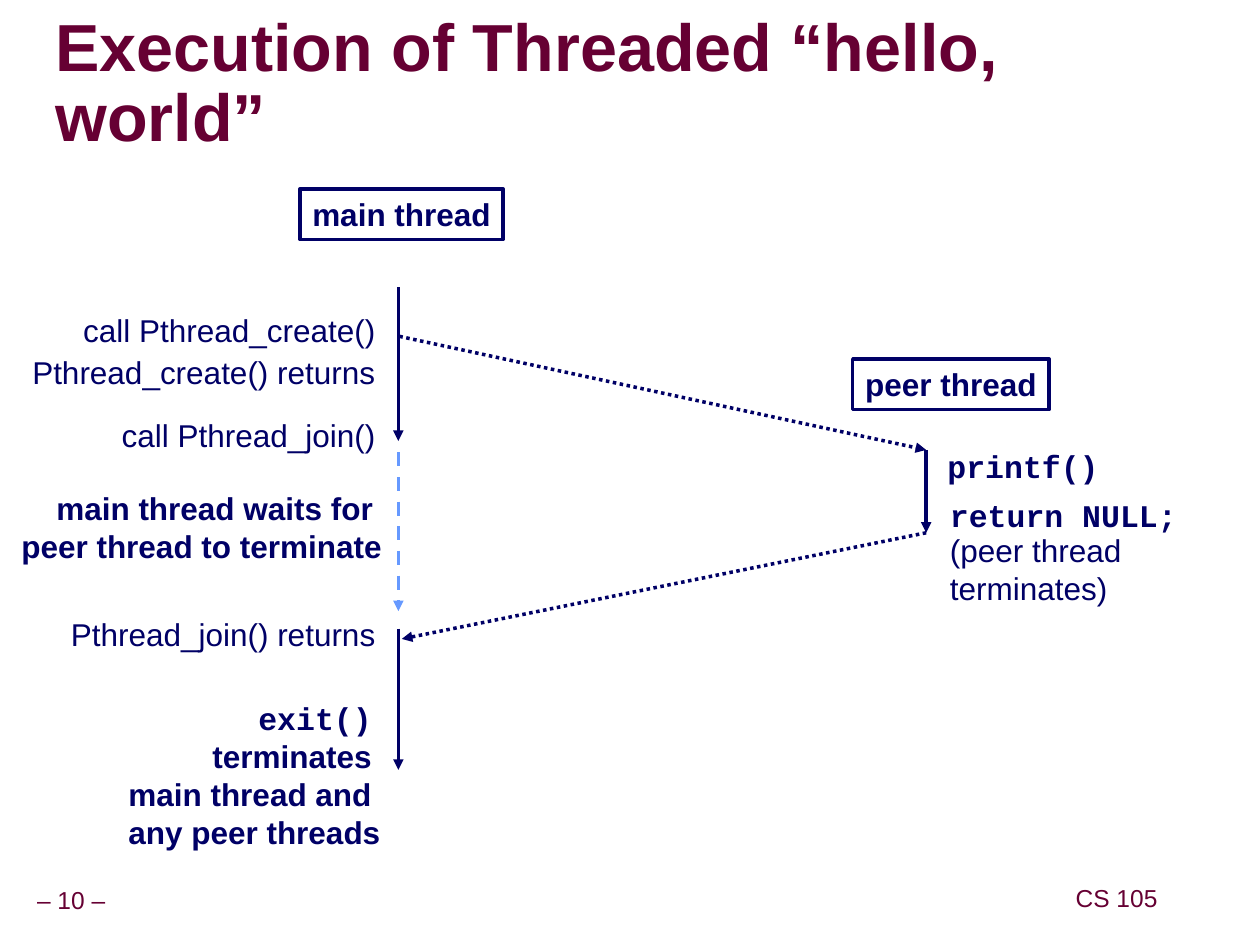
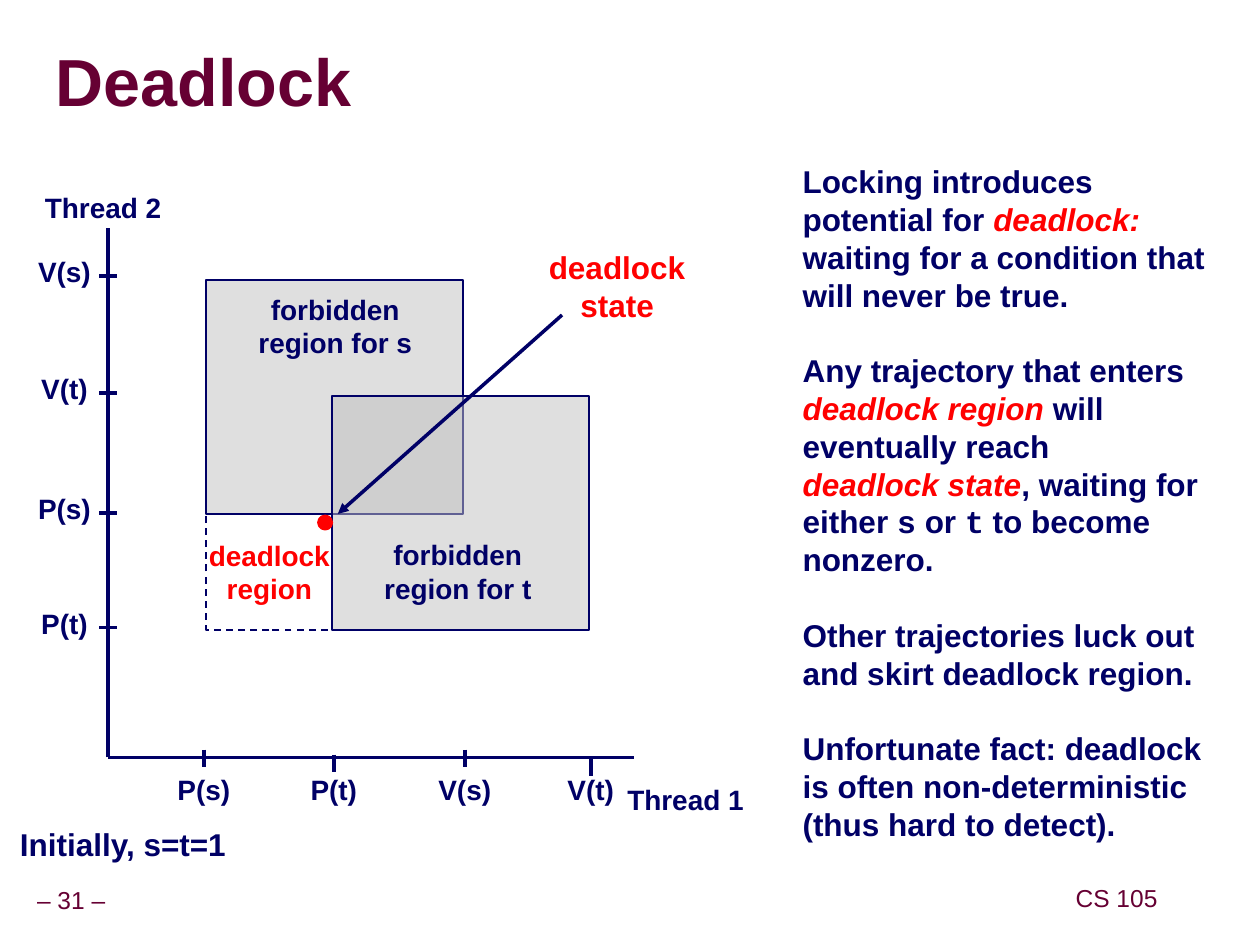
import pptx
import pptx.util
import pptx.dml.color
import pptx.enum.dml
import pptx.enum.shapes
import pptx.enum.text
import pptx.oxml
import pptx.oxml.ns

Cm, Pt = pptx.util.Cm, pptx.util.Pt
SHAPE = pptx.enum.shapes.MSO_SHAPE
DASH = pptx.enum.dml.MSO_LINE
ALIGN = {"l": pptx.enum.text.PP_ALIGN.LEFT,
         "c": pptx.enum.text.PP_ALIGN.CENTER,
         "r": pptx.enum.text.PP_ALIGN.RIGHT}
ANCHOR = {"t": pptx.enum.text.MSO_ANCHOR.TOP,
          "m": pptx.enum.text.MSO_ANCHOR.MIDDLE}

# Shared look
NAVY, WINE, RED, SKY = "000066", "660033", "FF0000", "6699FF"
GREY, WHITE = "C0C0C0", "FFFFFF"
SANS, MONO = "Arial", "Courier New"
COURSE = "CS 105"
ROW = 1.02  # height of a one-line label

# Thread diagram: content
HEADS = [("main thread", 6.05, 3.81, 4.09), ("peer thread", 17.19, 7.24, 3.96)]
MAIN_X, PEER_X = 8.03, 18.67
CALL_EDGE = 7.82
CALLS = [  # text, top, width
    ("call Pthread_create()", 6.15, 6.8),
    ("Pthread_create() returns", 6.99, 7.8),
    ("call Pthread_join()", 8.26, 6),
    ("Pthread_join() returns", 12.27, 7.4),
]
WAIT = "main thread waits for \npeer thread to terminate"
LEAVE = "exit()\nterminates \nmain thread and \nany peer threads"
CODE = [("printf()", 18.85, 8.89, 4), ("return NULL;", 18.9, 9.87, 5.5)]
END = "(peer thread\nterminates)"
FLOWS = [  # start, end, colour, dash
    ((MAIN_X, 5.79), (MAIN_X, 8.89), NAVY, None),
    ((PEER_X, 9.07), (PEER_X, 10.74), NAVY, None),
    ((8.05, 6.78), (PEER_X, 9.07), NAVY, DASH.ROUND_DOT),
    ((PEER_X, 10.74), (8.1, 12.88), NAVY, DASH.ROUND_DOT),
    ((MAIN_X, 12.67), (MAIN_X, 15.52), NAVY, None),
    ((MAIN_X, 9.12), (MAIN_X, 12.32), SKY, DASH.DASH),
]

# Deadlock chart: content
ORIGIN, TOP, RIGHT = (2.18, 15.27), 4.6, 12.78
TICK = 0.36
X_TICKS = [("P(s)", 4.11, 15.11), ("P(t)", 6.73, 15.21),
           ("V(s)", 9.37, 15.11), ("V(t)", 11.91, 15.29)]
Y_TICKS = [("V(s)", 5.56), ("V(t)", 7.92), ("P(s)", 10.34), ("P(t)", 12.65)]
ZONE_S, ZONE_T, ZONE = (4.16, 5.64), (6.7, 7.98), (5.18, 4.72)
NOTES = [  # text, left, top, width, height, size, colour
    ("Thread 1", 12.12, 15.65, 3.4, 0.94, 16, NAVY),
    ("Thread 2", 0.38, 3.71, 3.4, 0.94, 16, NAVY),
    ("Initially, s=t=1", 0.03, 16.64, 4.9, 0.76, 18, NAVY),
    ("forbidden\nregion for s", 4.76, 5.89, 4, 1.35, 16, NAVY),
    ("forbidden\nregion for t", 7.23, 10.84, 4, 1.35, 16, NAVY),
    ("deadlock\nstate", 10.44, 5, 4, 1.52, 18, RED),
]
STORY = [  # blocks of paragraphs; each paragraph is a list of (text, kind)
    [[("Locking introduces", "")],
     [("potential for ", ""), ("deadlock:", "term")],
     [("waiting for a condition that will never be true.", "")]],
    [[("Any trajectory that enters", "")],
     [("deadlock region ", "term"), ("will", "")],
     [("eventually reach", "")],
     [("deadlock state", "term"), (", waiting for either ", ""), ("s", "code"),
      (" or ", ""), ("t", "code"), (" to become nonzero.", "")]],
    [[("Other trajectories luck out and skirt deadlock region.", "")]],
    [[("Unfortunate fact: deadlock is often non-deterministic "
       "(thus hard to detect).", "")]],
]


def rgb(code):
    return pptx.dml.color.RGBColor.from_string(code)


def style(run, size, color=NAVY, bold=False, face=SANS, italic=False):
    font = run.font
    font.size, font.name = Pt(size), face
    font.bold, font.italic = bold, italic
    font.color.rgb = rgb(color)


def write(shape, text, size, color=NAVY, bold=False, face=SANS,
          align="c", anchor="m", wrap=False, inset=(0.25, 0.13)):
    frame = shape.text_frame
    frame.text = text
    frame.word_wrap = wrap
    frame.vertical_anchor = ANCHOR[anchor]
    frame.margin_left = frame.margin_right = Cm(inset[0])
    frame.margin_top = frame.margin_bottom = Cm(inset[1])
    for para in frame.paragraphs:
        para.alignment = ALIGN[align]
        for run in para.runs:
            style(run, size, color, bold, face)
    return frame


def label(slide, text, box, size, **look):
    shape = slide.shapes.add_textbox(*map(Cm, box))
    return write(shape, text, size, **look)


def block(slide, kind, box, line=NAVY, width=1, fill=None, alpha=None):
    shape = slide.shapes.add_shape(kind, *map(Cm, box))
    shape.shadow.inherit = False
    shape.line.color.rgb = rgb(line)
    shape.line.width = Pt(width)
    if fill is None:
        shape.fill.background()
    else:
        shape.fill.solid()
        shape.fill.fore_color.rgb = rgb(fill)
    if alpha:
        tone = shape.fill._xPr.find(".//" + pptx.oxml.ns.qn("a:srgbClr"))
        add(tone, "alpha", val=str(alpha * 1000))
    return shape


def add(parent, tag, **attrs):
    node = parent.makeelement(pptx.oxml.ns.qn("a:" + tag), attrs)
    parent.append(node)


def stroke(slide, start, end, color=NAVY, dash=None, arrow=False):
    ends = map(Cm, (*start, *end))
    link = slide.shapes.add_connector(
        pptx.enum.shapes.MSO_CONNECTOR.STRAIGHT, *ends)
    link.line.color.rgb = rgb(color)
    link.line.width = Pt(2)
    if dash:
        link.line.dash_style = dash
    if arrow:
        add(link.line._get_or_add_ln(), "tailEnd", type="triangle")
    add(link._element.spPr, "effectLst")


def page(deck, title, number):
    slide = deck.slides.add_slide(deck.slide_layouts[6])
    for text, box in ((f"– {number} –", (-0.23, 17.78, 3.33, 0.79)),
                      (COURSE, (21.01, 17.75, 3, 0.79))):
        frame = label(slide, text, box, 14, color=WINE, inset=(0.13, 0.13))
        frame.paragraphs[0].line_spacing = 0.9
    frame = label(slide, title, (1.12, 0.69, 19.84, 2.08), 38, color=WINE,
                  bold=True, align="l", wrap=True, inset=(0, 0))
    frame.paragraphs[0].line_spacing = 0.87
    return slide


def threads(deck):
    slide = page(deck, "Execution of Threaded “hello, world”", 10)
    for text, left, top, width in HEADS:
        head = block(slide, SHAPE.RECTANGLE, (left, top, width, ROW), width=2)
        write(head, text, 18, bold=True, inset=(0.1, 0.13))
    for start, end, color, dash in FLOWS:
        stroke(slide, start, end, color, dash, arrow=True)

    # Main thread steps, flush right beside the time line
    for text, top, width in CALLS:
        label(slide, text, (CALL_EDGE - width, top, width, ROW), 18,
              align="r", anchor="t")
    label(slide, WAIT, (0, 9.73, 7.95, 1.78), 18, bold=True, align="r")
    frame = label(slide, LEAVE, (1.92, 13.97, 6, 3.3), 18,
                  bold=True, align="r")
    first = frame.paragraphs[0]
    first.runs[0].font.name = MONO
    space = first.add_run()
    space.text = " "
    style(space, 18, bold=True)

    # Peer thread steps
    for text, left, top, width in CODE:
        label(slide, text, (left, top, width, ROW), 18,
              bold=True, face=MONO, align="l")
    label(slide, END, (18.9, 10.58, 4.4, 1.78), 18, align="l", anchor="t")


def deadlock(deck):
    slide = page(deck, "Deadlock", 31)

    # Regions: the dashed one fills the corner left of t and below s
    low = ZONE_S[1] + ZONE[1]
    corner = (ZONE_S[0], low, ZONE_T[0] - ZONE_S[0], ZONE_T[1] + ZONE[1] - low)
    trap = block(slide, SHAPE.RECTANGLE, corner, fill=WHITE)
    trap.line.dash_style = DASH.DASH
    write(trap, "deadlock\nregion", 16, color=RED, bold=True, inset=(0, 0))
    for spot in (ZONE_S, ZONE_T):
        block(slide, SHAPE.RECTANGLE, spot + ZONE, fill=GREY, alpha=50)

    # Axes and ticks
    stroke(slide, ORIGIN, (ORIGIN[0], TOP))
    stroke(slide, ORIGIN, (RIGHT, ORIGIN[1]))
    marks = []
    for text, x, top in X_TICKS:
        stroke(slide, (x, top), (x, top + TICK))
        marks.append((text, x, 15.91))
    for text, y in Y_TICKS:
        stroke(slide, (ORIGIN[0] - TICK / 2, y), (ORIGIN[0] + TICK / 2, y))
        marks.append((text, 1.3, y - 0.09))
    for text, x, y in marks:
        label(slide, text, (x - 1, y - 0.47, 2, 0.94), 16, bold=True)

    # Notes and the deadlock state
    for text, *box, size, color in NOTES:
        label(slide, text, box, size, color=color, bold=True, inset=(0.25, 0))
    block(slide, SHAPE.OVAL, (6.43, 10.41, 0.25, 0.25), RED, 2, RED)
    stroke(slide, (11.33, 6.35), (6.81, 10.36), arrow=True)

    # Explanation
    frame = label(slide, "", (15.93, 3.27, 8.64, 13.72), 18, align="l",
                  anchor="t", wrap=True, inset=(0.25, 0))
    para = frame.paragraphs[0]
    for i, part in enumerate(STORY):
        for j, runs in enumerate(part):
            if i or j:
                para = frame.add_paragraph()
            if i and not j:
                para.space_before = Pt(21.6)
            for text, kind in runs:
                run = para.add_run()
                run.text = text
                term = kind == "term"
                style(run, 18, RED if term else NAVY, True,
                      MONO if kind == "code" else SANS, term)


def main():
    deck = pptx.Presentation()
    deck.slide_width, deck.slide_height = Cm(25.4), Cm(19.05)
    threads(deck)
    deadlock(deck)
    deck.save("out.pptx")


if __name__ == "__main__":
    main()
